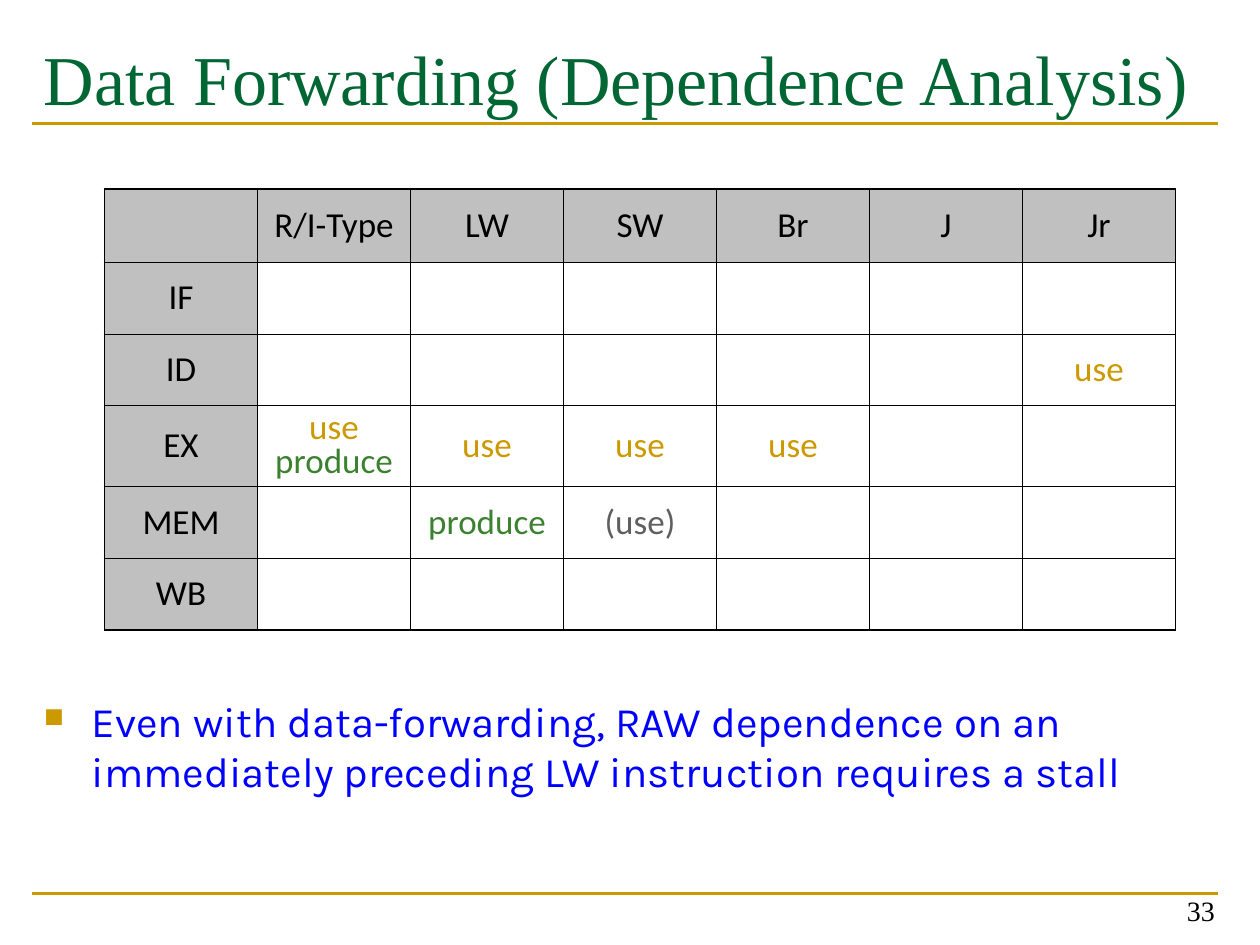
import pptx
import pptx.dml.color
import pptx.enum.shapes
import pptx.enum.text
import pptx.oxml.ns
import pptx.util
from lxml import etree

Inches = pptx.util.Inches
Pt = pptx.util.Pt
RGBColor = pptx.dml.color.RGBColor
Align = pptx.enum.text.PP_ALIGN
Anchor = pptx.enum.text.MSO_ANCHOR
qn = pptx.oxml.ns.qn

BLACK = RGBColor(0x00, 0x00, 0x00)
GOLD = RGBColor(0xCC, 0x99, 0x00)
TITLE_GREEN = RGBColor(0x00, 0x66, 0x33)
PRODUCE_GREEN = RGBColor(0x3B, 0x81, 0x2F)
BLUE = RGBColor(0x00, 0x00, 0xFF)
HEADER_GRAY = RGBColor(0xC0, 0xC0, 0xC0)
TEXT_GRAY = RGBColor(0x5F, 0x5F, 0x5F)

WORD_COLORS = {"use": GOLD, "produce": PRODUCE_GREEN, "(use)": TEXT_GRAY}
STAGES = [
    ["", "R/I-Type", "LW", "SW", "Br", "J", "Jr"],
    ["IF", "", "", "", "", "", ""],
    ["ID", "", "", "", "", "", "use"],
    ["EX", "use\nproduce", "use", "use", "use", "", ""],
    ["MEM", "", "produce", "(use)", "", "", ""],
    ["WB", "", "", "", "", "", ""],
]
ROW_HEIGHTS = [0.58, 0.57, 0.57, 0.64, 0.57, 0.57]


def write_paragraph(para, text, *, font, size, color, align=Align.LEFT, spacing=None):
    para.alignment = align
    if spacing:
        para.line_spacing = spacing
    span = para.add_run()
    span.text = text
    span.font.name = font
    span.font.size = Pt(size)
    span.font.color.rgb = color


def add_bullet(para, symbol, color, percent, indent):
    properties = para._p.get_or_add_pPr()
    properties.set("marL", str(Inches(indent)))
    properties.set("indent", str(-Inches(indent)))
    bullet_color = etree.SubElement(properties, qn("a:buClr"))
    etree.SubElement(bullet_color, qn("a:srgbClr"), val=str(color))
    etree.SubElement(properties, qn("a:buSzPct"), val=str(percent * 1000))
    etree.SubElement(properties, qn("a:buChar"), char=symbol)


def set_border(cell, side, width):
    line = etree.SubElement(cell._tc.get_or_add_tcPr(), qn(f"a:ln{side}"), w=str(Pt(width)))
    fill = etree.SubElement(line, qn("a:solidFill"))
    etree.SubElement(fill, qn("a:srgbClr"), val=str(BLACK))


class SlideBuilder:
    heading_font = "Times New Roman"
    body_font = "Karla"
    table_font = "Calibri"
    rule_width = 1.5
    inner_border = 0.45
    outer_border = 1.08

    def __init__(self, page):
        self.page = page

    def rule(self, left, top, width):
        line = self.page.shapes.add_connector(
            pptx.enum.shapes.MSO_CONNECTOR.STRAIGHT,
            Inches(left), Inches(top), Inches(left + width), Inches(top))
        line.line.color.rgb = GOLD
        line.line.width = Pt(self.rule_width)
        etree.SubElement(line._element.spPr, qn("a:effectLst"))

    def text(self, text, left, top, width, height, *, anchor=Anchor.TOP,
             inset_top=0.05, bullet=False, **style):
        box = self.page.shapes.add_textbox(
            Inches(left), Inches(top), Inches(width), Inches(height))
        frame = box.text_frame
        frame.word_wrap = True
        frame.vertical_anchor = anchor
        frame.margin_top = Inches(inset_top)
        para = frame.paragraphs[0]
        if bullet:
            add_bullet(para, "■", GOLD, 65, 0.38)
        write_paragraph(para, text, **style)

    def table(self, rows, left, top, width, heights):
        count = len(rows[0])
        table = self.page.shapes.add_table(
            len(rows), count, Inches(left), Inches(top),
            Inches(width), Inches(sum(heights))).table
        table.first_row = False
        table.horz_banding = False
        for column in table.columns:
            column.width = Inches(width / count)
        for row_index, (words, height) in enumerate(zip(rows, heights)):
            table.rows[row_index].height = Inches(height)
            for column_index, word in enumerate(words):
                edges = {
                    "L": column_index == 0,
                    "R": column_index == count - 1,
                    "T": row_index == 0,
                    "B": row_index == len(rows) - 1,
                }
                self.cell(table.cell(row_index, column_index), word, edges)

    def cell(self, cell, text, edges):
        for side, is_outer in edges.items():
            set_border(cell, side, self.outer_border if is_outer else self.inner_border)
        if edges["L"] or edges["T"]:
            cell.fill.solid()
            cell.fill.fore_color.rgb = HEADER_GRAY
        else:
            cell.fill.background()
        cell.vertical_anchor = Anchor.MIDDLE
        if not text:
            return
        lines = text.split("\n")
        frame = cell.text_frame
        for index, line in enumerate(lines):
            para = frame.add_paragraph() if index else frame.paragraphs[0]
            write_paragraph(para, line, font=self.table_font, size=20,
                            color=WORD_COLORS.get(line, BLACK), align=Align.CENTER,
                            spacing=0.8 if len(lines) > 1 else None)


def main():
    deck = pptx.Presentation()
    deck.slide_width = Inches(10)
    deck.slide_height = Inches(7.5)
    builder = SlideBuilder(deck.slides.add_slide(deck.slide_layouts[6]))

    for top in (7.09, 0.98):
        builder.rule(0.25, top, 9.42)
    builder.text("Data Forwarding (Dependence Analysis)", 0.25, 0.17, 9.42, 1.17,
                 inset_top=0.11, font=builder.heading_font, size=40, color=TITLE_GREEN)
    builder.text("Even with data-forwarding, RAW dependence on an immediately "
                 "preceding LW instruction requires a stall", 0.25, 5.47, 9.42, 1.3,
                 bullet=True, font=builder.body_font, size=24, color=BLUE)
    builder.text("33", 7.41, 6.91, 2.33, 0.5, anchor=Anchor.BOTTOM,
                 font=builder.heading_font, size=16, color=BLACK, align=Align.RIGHT)
    builder.table(STAGES, 0.83, 1.5, 8.5, ROW_HEIGHTS)

    deck.save("out.pptx")


if __name__ == "__main__":
    main()
